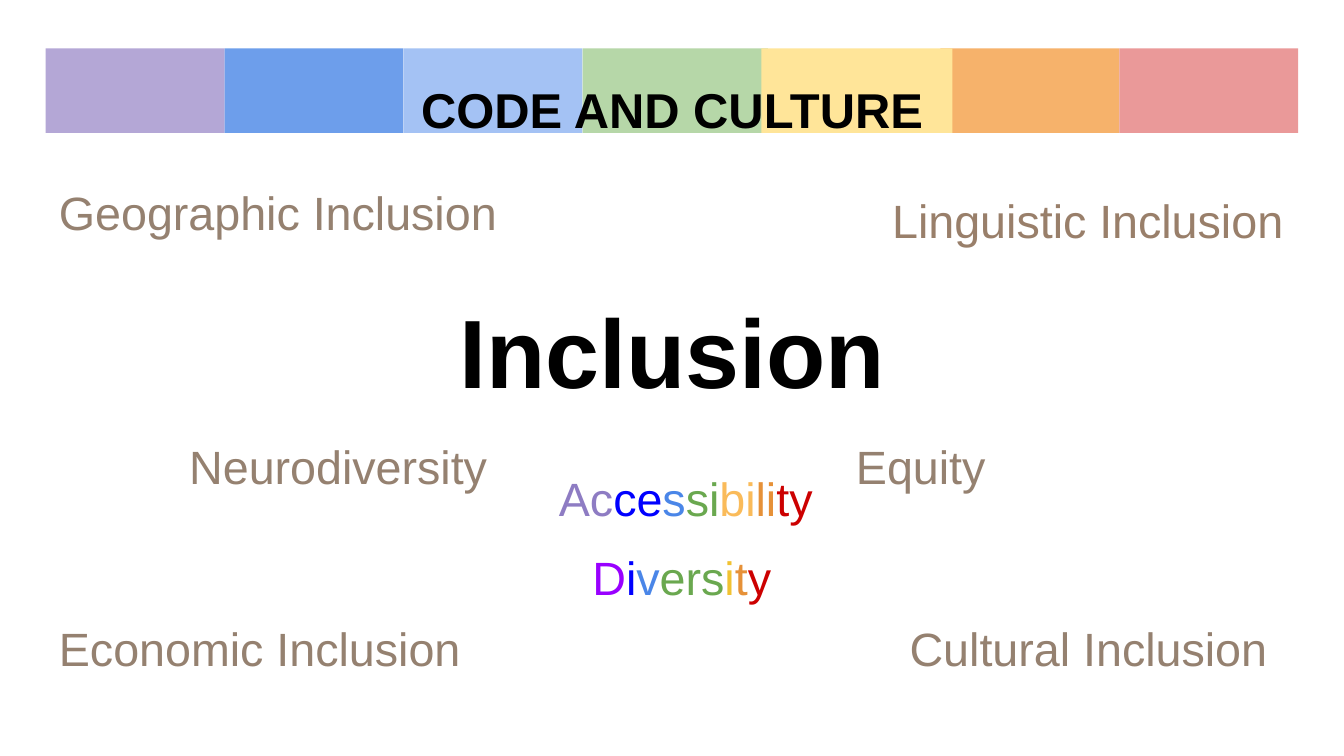
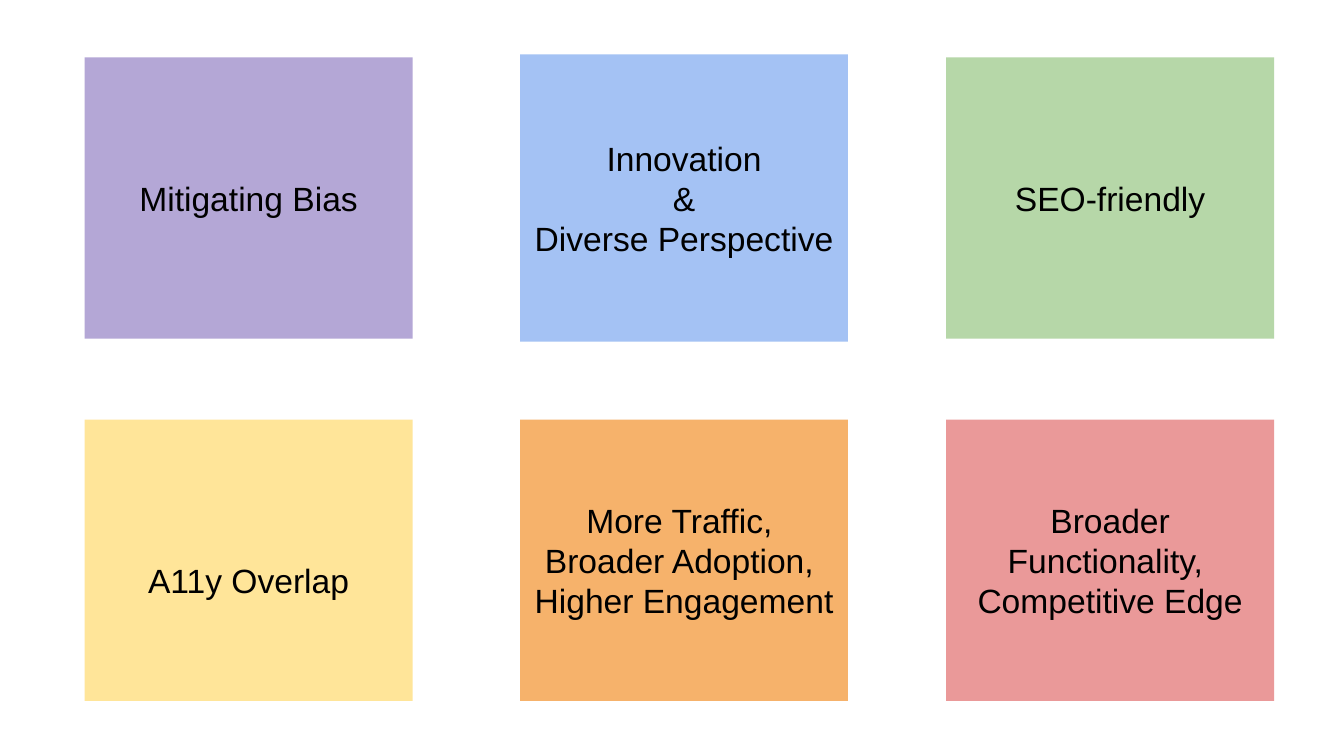
from pptx import Presentation
from pptx.dml.color import RGBColor
from pptx.enum.shapes import MSO_SHAPE
from pptx.enum.text import MSO_ANCHOR, PP_ALIGN
from pptx.util import Inches, Pt

SLIDE_WIDTH, SLIDE_HEIGHT = Inches(10), Inches(5.625)
COLUMN, ROW = SLIDE_WIDTH / 100, SLIDE_HEIGHT / 100
FONT = "Arial"
BLACK = "000000"
TAUPE = "958170"
PASTEL = {
    "violet": "B4A7D6", "blue": "6D9EEB", "sky": "A4C2F4", "green": "B6D7A8",
    "yellow": "FFE599", "orange": "F6B26B", "red": "EA9999",
}
MARGIN, CONTENT_WIDTH = 3.4, 93.2
BAND_TOP, BAND_HEIGHT = 6.4, 11.2
LABEL_HEIGHT = 12.1
TILE_LEFTS, TILE_TOPS = (6.3, 38.7, 70.4), (7.6, 55.5)
TILE_WIDTH, TILE_HEIGHT = 24.4, 37.2

HEADING = {"size": Pt(26.2), "bold": True}
HERO = {"size": Pt(52), "bold": True}
TOPIC = {"size": Pt(25), "bold": False}
BENEFIT = {"size": Pt(18), "bold": False}

TOPICS = [
    ("Equity", 62.7, 56.2, 24.9, TAUPE),
    ("Cultural Inclusion", 66.7, 80.2, 29.4, TAUPE),
    ("Linguistic Inclusion", 65.4, 23.6, 32.1, "997F6A"),
    ("Economic Inclusion", MARGIN, 80.2, 36.3, TAUPE),
    ("Neurodiversity", 13.1, 56.2, 26.6, TAUPE),
    ("Geographic Inclusion", MARGIN, 22.6, 36.3, TAUPE),
]
DIVERSITY = [
    ("D", "9900FF"), ("i", "0000FF"), ("v", "4A86E8"), ("ers", "6AA84F"),
    ("i", "F1C232"), ("t", "E69138"), ("y", "CC0000"),
]
ACCESSIBILITY = [
    ("Ac", "8E7CC3"), ("ce", "0000FF"), ("s", "4A86E8"), ("si", "6AA84F"),
    ("bi", "FABB5A"), ("li", "E69138"), ("ty", "CC0000"),
]
BENEFITS = [
    ("violet", ["Mitigating Bias"], {}),
    ("sky", ["Innovation", "&", "Diverse Perspective"], {"height": 38}),
    ("green", ["SEO-friendly"], {}),
    ("yellow", ["A11y Overlap"], {"top_inset": 0.39}),
    ("orange", ["More Traffic, ", "Broader Adoption, ", "Higher Engagement"], {}),
    ("red", ["Broader Functionality, ", "Competitive Edge"], {}),
]


def color(value):
    """Turn a hex string into a colour."""
    return RGBColor.from_string(value)


def place(left, top, width, height):
    """Convert grid columns and rows to slide lengths."""
    return [round(n * unit) for n, unit in
            zip((left, top, width, height), (COLUMN, ROW, COLUMN, ROW))]


def apply(target, formats):
    """Set every attribute named in a dict of format values."""
    for name, value in formats.items():
        setattr(target, name, value)


def write(frame, lines, style, align=PP_ALIGN.LEFT, anchor=MSO_ANCHOR.TOP, top_inset=0.1):
    """Fill a text frame with lines, each a list of (text, colour) runs."""
    apply(frame, {
        "word_wrap": True, "vertical_anchor": anchor,
        "margin_left": Inches(0.1), "margin_right": Inches(0.1),
        "margin_top": Inches(top_inset), "margin_bottom": Inches(0.1),
    })
    for index, line in enumerate(lines):
        paragraph = frame.add_paragraph() if index else frame.paragraphs[0]
        paragraph.alignment = align
        for words, ink in line:
            run = paragraph.add_run()
            run.text = words
            apply(run.font, {"name": FONT, **style})
            run.font.color.rgb = color(ink)


def add_words(slide, box, runs, style, **layout):
    """Add one line of text in a box of the grid."""
    write(slide.shapes.add_textbox(*place(*box)).text_frame, [runs], style, **layout)


def add_block(slide, box, fill):
    """Add a plain filled rectangle."""
    block = slide.shapes.add_shape(MSO_SHAPE.RECTANGLE, *place(*box))
    block.shadow.inherit = False
    block.fill.solid()
    block.fill.fore_color.rgb = color(fill)
    block.line.fill.background()
    return block


def add_rainbow_band(slide):
    """Lay the pastel stripes side by side, yellow overlapping orange."""
    pitch = CONTENT_WIDTH / len(PASTEL)
    widths = {"green": 13.8, "yellow": 14.2}
    stripes = sorted(enumerate(PASTEL), key=lambda stripe: stripe[1] != "orange")
    for index, hue in stripes:
        box = (MARGIN + index * pitch, BAND_TOP, widths.get(hue, pitch), BAND_HEIGHT)
        add_block(slide, box, PASTEL[hue])


def add_benefit(slide, index, hue, lines, height=TILE_HEIGHT, top_inset=0.1):
    """Add a benefit tile centred on its row of the grid."""
    row, column = divmod(index, len(TILE_LEFTS))
    top = TILE_TOPS[row] - (height - TILE_HEIGHT) / 2
    tile = add_block(slide, (TILE_LEFTS[column], top, TILE_WIDTH, height), PASTEL[hue])
    write(tile.text_frame, [[(line, BLACK)] for line in lines], BENEFIT,
          PP_ALIGN.CENTER, MSO_ANCHOR.MIDDLE, top_inset)


def build_inclusion(slide):
    """Build the word map around inclusion."""
    add_rainbow_band(slide)
    add_words(slide, (MARGIN, 8.7, CONTENT_WIDTH, BAND_HEIGHT),
              [("CODE AND CULTURE", BLACK)], HEADING, align=PP_ALIGN.CENTER)
    add_words(slide, (MARGIN, 34.8, CONTENT_WIDTH, 21), [("Inclusion", BLACK)], HERO,
              align=PP_ALIGN.CENTER, anchor=MSO_ANCHOR.BOTTOM)
    for words, left, top, width, ink in TOPICS:
        add_words(slide, (left, top, width, LABEL_HEIGHT), [(words, ink)], TOPIC)
    add_words(slide, (43.1, 70.8, 16.3, LABEL_HEIGHT), DIVERSITY, TOPIC)
    add_words(slide, (40.6, 60.4, 21.1, LABEL_HEIGHT), ACCESSIBILITY, TOPIC)


def build_benefits(slide):
    """Build the grid of benefits."""
    for index, (hue, lines, variation) in enumerate(BENEFITS):
        add_benefit(slide, index, hue, lines, **variation)


def main():
    """Build both slides and save the deck."""
    deck = Presentation()
    apply(deck, {"slide_width": SLIDE_WIDTH, "slide_height": SLIDE_HEIGHT})
    for build in (build_inclusion, build_benefits):
        build(deck.slides.add_slide(deck.slide_layouts[6]))
    deck.save("out.pptx")


if __name__ == "__main__":
    main()
